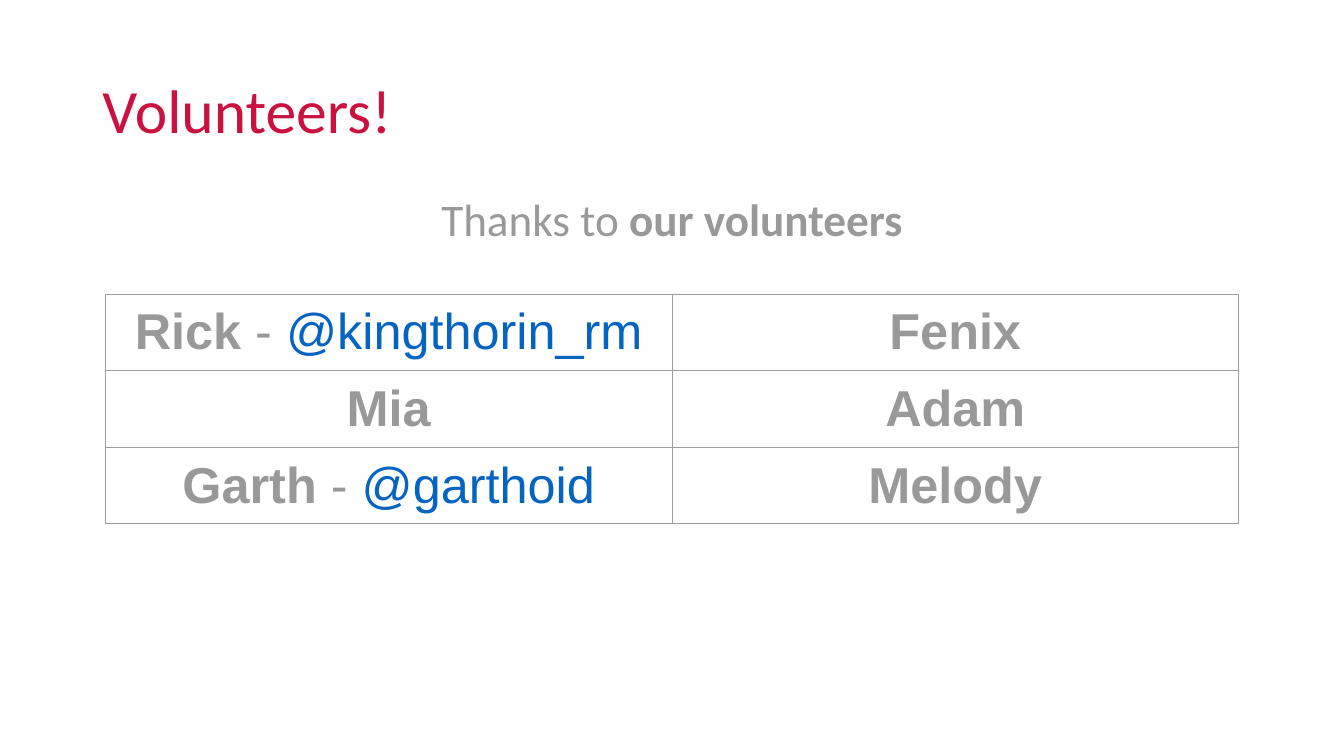
from lxml.etree import SubElement
from pptx import Presentation
from pptx.dml.color import RGBColor
from pptx.enum.text import MSO_ANCHOR, MSO_AUTO_SIZE, PP_ALIGN
from pptx.oxml.ns import qn
from pptx.util import Pt

COLORS = {"title": "CA1140", "text": "999999", "handle": "0563C1", "border": "9E9E9E"}
VOLUNTEERS = [
    [("Rick", "@kingthorin_rm"), ("Fenix", None)],
    [("Mia", None), ("Adam", None)],
    [("Garth", "@garthoid"), ("Melody", None)],
]


def set_attrs(obj, values):
    for name, value in values.items():
        setattr(obj, name, value)


def add_run(p, text, font, size, color, bold=False):
    r = p.add_run()
    r.text = text
    set_attrs(r.font, {"name": font, "size": Pt(size), "bold": bold})
    r.font.color.rgb = RGBColor.from_string(COLORS[color])


def place_text(sp, box, anchor, paragraph_format):
    set_attrs(sp, dict(zip(("left", "top", "width", "height"), map(Pt, box))))
    tf = sp.text_frame
    set_attrs(tf, {
        "word_wrap": True, "auto_size": MSO_AUTO_SIZE.NONE, "vertical_anchor": anchor,
        "margin_left": Pt(7.2), "margin_right": Pt(7.2),
        "margin_top": Pt(3.6), "margin_bottom": Pt(3.6),
    })
    p = tf.paragraphs[0]
    set_attrs(p, paragraph_format)
    return p


def remove_bullet(p):
    pPr = p._p.get_or_add_pPr()
    pPr.set("marL", "0")
    pPr.set("indent", "0")
    SubElement(pPr, qn("a:buNone"))


def add_borders(cell):
    tcPr = cell._tc.get_or_add_tcPr()
    for index, side in enumerate(("lnL", "lnR", "lnT", "lnB")):
        ln = tcPr.makeelement(qn(f"a:{side}"), {"w": str(Pt(0.75))})
        fill = SubElement(ln, qn("a:solidFill"))
        SubElement(fill, qn("a:srgbClr"), val=COLORS["border"])
        tcPr.insert(index, ln)


def fill_cell(cell, name, handle):
    margins = ("margin_left", "margin_right", "margin_top", "margin_bottom")
    set_attrs(cell, dict.fromkeys(margins, Pt(7.2)))
    cell.fill.background()
    add_borders(cell)
    p = cell.text_frame.paragraphs[0]
    p.alignment = PP_ALIGN.CENTER
    add_run(p, name, "Arial", 36, "text", True)
    if handle:
        add_run(p, " - ", "Arial", 36, "text")
        add_run(p, handle, "Arial", 36, "handle")


def add_volunteer_table(s, left, top, col_width, row_height):
    rows, cols = len(VOLUNTEERS), len(VOLUNTEERS[0])
    frame = s.shapes.add_table(rows, cols, Pt(left), Pt(top),
                               Pt(cols * col_width), Pt(rows * row_height))
    table = frame.table
    set_attrs(table, {"first_row": False, "horz_banding": False})
    for i, row in enumerate(VOLUNTEERS):
        for j, (name, handle) in enumerate(row):
            fill_cell(table.cell(i, j), name, handle)


def main():
    prs = Presentation()
    set_attrs(prs, {"slide_width": Pt(960), "slide_height": Pt(540)})
    s = prs.slides.add_slide(prs.slide_layouts[1])

    p = place_text(s.shapes.title, (66, 28.75, 828, 104.4), MSO_ANCHOR.MIDDLE,
                   {"alignment": PP_ALIGN.LEFT, "line_spacing": 0.9})
    add_run(p, "Volunteers!", "Calibri", 44, "title")

    p = place_text(s.placeholders[1], (66, 143.75, 828, 78.5), MSO_ANCHOR.TOP,
                   {"alignment": PP_ALIGN.CENTER, "line_spacing": 0.7,
                    "space_before": Pt(10)})
    remove_bullet(p)
    add_run(p, "Thanks to ", "Calibri", 32.3, "text")
    add_run(p, "our volunteers", "Calibri", 32.3, "text", True)

    add_volunteer_table(s, 75.25, 210, 404.75, 54.5)
    prs.save("out.pptx")


if __name__ == "__main__":
    main()
